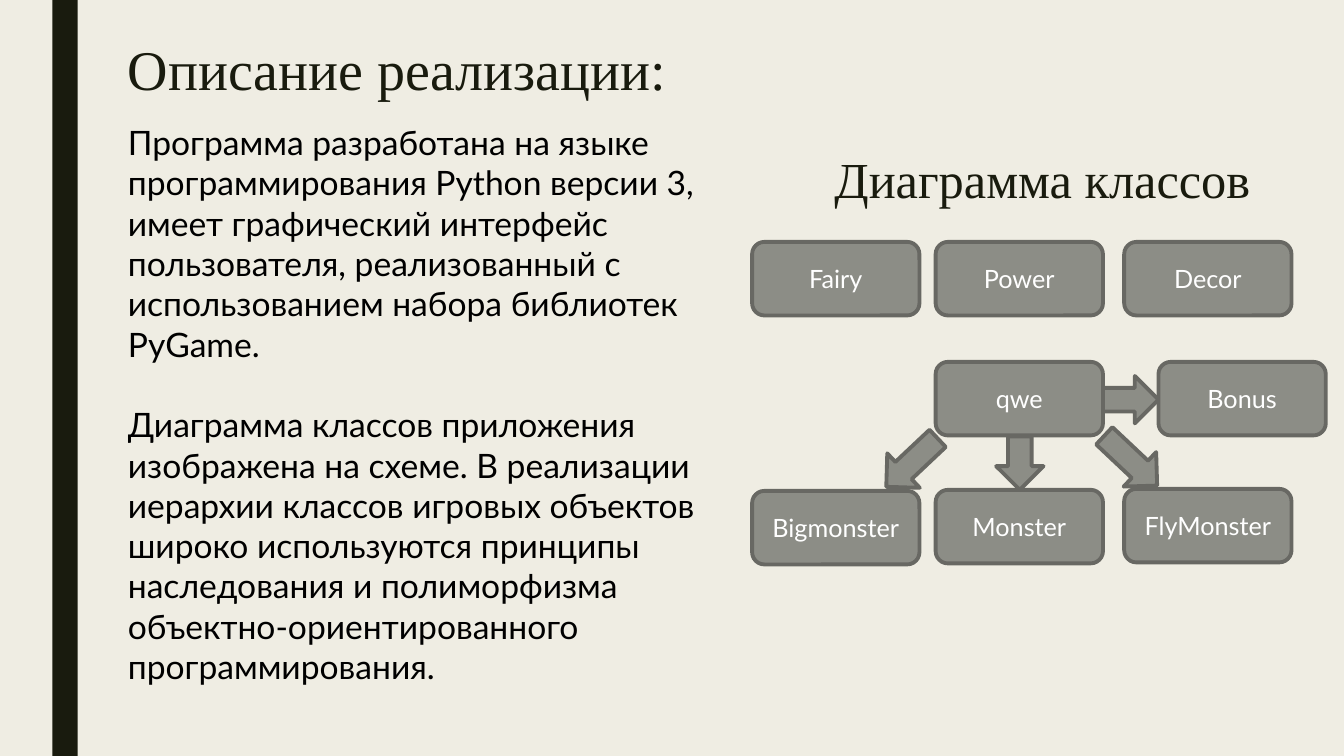
from dataclasses import dataclass

from pptx import Presentation
from pptx.dml.color import RGBColor
from pptx.enum.shapes import MSO_SHAPE as Shape
from pptx.enum.text import MSO_ANCHOR as Anchor, PP_ALIGN as Align
from pptx.util import Inches, Pt


@dataclass(frozen=True)
class Theme:
    paper: str = "EFEDE3"
    ink: str = "191B0E"
    body: str = "000000"
    block: str = "8C8D86"
    border: str = "686863"
    label: str = "FFFFFF"
    heading_font: str = "Times New Roman"
    body_font: str = "Lato"
    title_size: float = 40
    subtitle_size: float = 36
    body_size: float = 24
    label_size: float = 18
    border_width: float = 2.75


THEME = Theme()

TITLE = "Описание реализации:"
DESCRIPTION = [
    "Программа разработана на языке программирования Python версии 3, "
    "имеет графический интерфейс пользователя, реализованный с "
    "использованием набора библиотек PyGame.",
    "Диаграмма классов приложения изображена на схеме. В реализации "
    "иерархии классов игровых объектов широко используются принципы "
    "наследования и полиморфизма объектно-ориентированного "
    "программирования.",
]
DIAGRAM_TITLE = "Диаграмма классов"

# Class boxes: name, left and top inside the diagram
CLASS_WIDTH, CLASS_HEIGHT = 1.66, 0.73
CLASSES = [
    ("Fairy", 0, 0), ("Power", 1.82, 0), ("Decor", 3.69, 0),
    ("qwe", 1.82, 1.19), ("Bonus", 4.03, 1.19),
    ("Bigmonster", 0, 2.47), ("Monster", 1.82, 2.46), ("FlyMonster", 3.69, 2.45),
]
# Block arrows from qwe: left, top, length, rotation
ARROW_WIDTH = 0.47
ARROWS = [
    (2.42, 1.93, 0.53, 0),
    (1.35, 1.84, 0.70, 46.7),
    (3.52, 1.81, 0.72, 313.3),
    (3.52, 1.29, 0.55, 270),
]


def write(shape, paragraphs, *, size, color, font=THEME.body_font,
          align=Align.LEFT, anchor=Anchor.TOP, line_spacing=None, gap=0):
    frame = shape.text_frame
    frame.word_wrap = True
    frame.vertical_anchor = anchor
    for index, text in enumerate(paragraphs):
        paragraph = frame.add_paragraph() if index else frame.paragraphs[0]
        paragraph.alignment = align
        paragraph.line_spacing = line_spacing
        paragraph.space_before = Pt(gap if index else 0)
        run = paragraph.add_run()
        run.text = text
        run.font.name = font
        run.font.size = Pt(size)
        run.font.color.rgb = RGBColor.from_string(color)


def add_text(slide, box, paragraphs, **text_format):
    write(slide.shapes.add_textbox(*map(Inches, box)), paragraphs, **text_format)


def add_block(slide, kind, box, fill, border=None):
    block = slide.shapes.add_shape(kind, *map(Inches, box))
    block.shadow.inherit = False
    block.fill.solid()
    block.fill.fore_color.rgb = RGBColor.from_string(fill)
    if border:
        block.line.color.rgb = RGBColor.from_string(border)
        block.line.width = Pt(THEME.border_width)
    else:
        block.line.fill.background()
    return block


def add_backdrop(slide, box):
    """Page colour and the dark vertical band."""
    slide.background.fill.solid()
    slide.background.fill.fore_color.rgb = RGBColor.from_string(THEME.paper)
    add_block(slide, Shape.RECTANGLE, box, THEME.ink)


def add_description(slide, box):
    """Slide title with the two explanatory paragraphs below it."""
    left, top, width, height = box
    add_text(slide, (left, top, width, 0.9), [TITLE], size=THEME.title_size,
             color=THEME.ink, font=THEME.heading_font, line_spacing=0.89)
    add_text(slide, (left, top + 0.79, width - 0.13, height - 0.79), DESCRIPTION,
             size=THEME.body_size, color=THEME.body, gap=1.2 * THEME.body_size)


def add_class_diagram(slide, box):
    """Heading, class boxes and the inheritance arrows."""
    left, top, width, _ = box
    add_text(slide, (left + 0.58, top, width - 1.09, 1.05), [DIAGRAM_TITLE],
             size=THEME.subtitle_size, color=THEME.ink, font=THEME.heading_font,
             align=Align.CENTER, line_spacing=0.89)

    grid_top = top + 0.91
    for name, x, y in CLASSES:
        class_box = add_block(
            slide, Shape.ROUNDED_RECTANGLE,
            (left + x, grid_top + y, CLASS_WIDTH, CLASS_HEIGHT),
            THEME.block, THEME.border)
        write(class_box, [name], size=THEME.label_size, color=THEME.label,
              align=Align.CENTER, anchor=Anchor.MIDDLE)

    for x, y, length, rotation in ARROWS:
        arrow = add_block(slide, Shape.DOWN_ARROW,
                          (left + x, grid_top + y, ARROW_WIDTH, length),
                          THEME.block, THEME.border)
        arrow.rotation = rotation


def main():
    deck = Presentation()
    deck.slide_width, deck.slide_height = Inches(13.33), Inches(7.5)
    slide = deck.slides.add_slide(deck.slide_layouts[6])
    add_backdrop(slide, (0.52, 0, 0.25, 7.5))
    add_description(slide, (1.17, 0.37, 6.29, 6.55))
    add_class_diagram(slide, (7.46, 1.49, 5.69, 4.11))
    deck.save("out.pptx")


if __name__ == "__main__":
    main()
